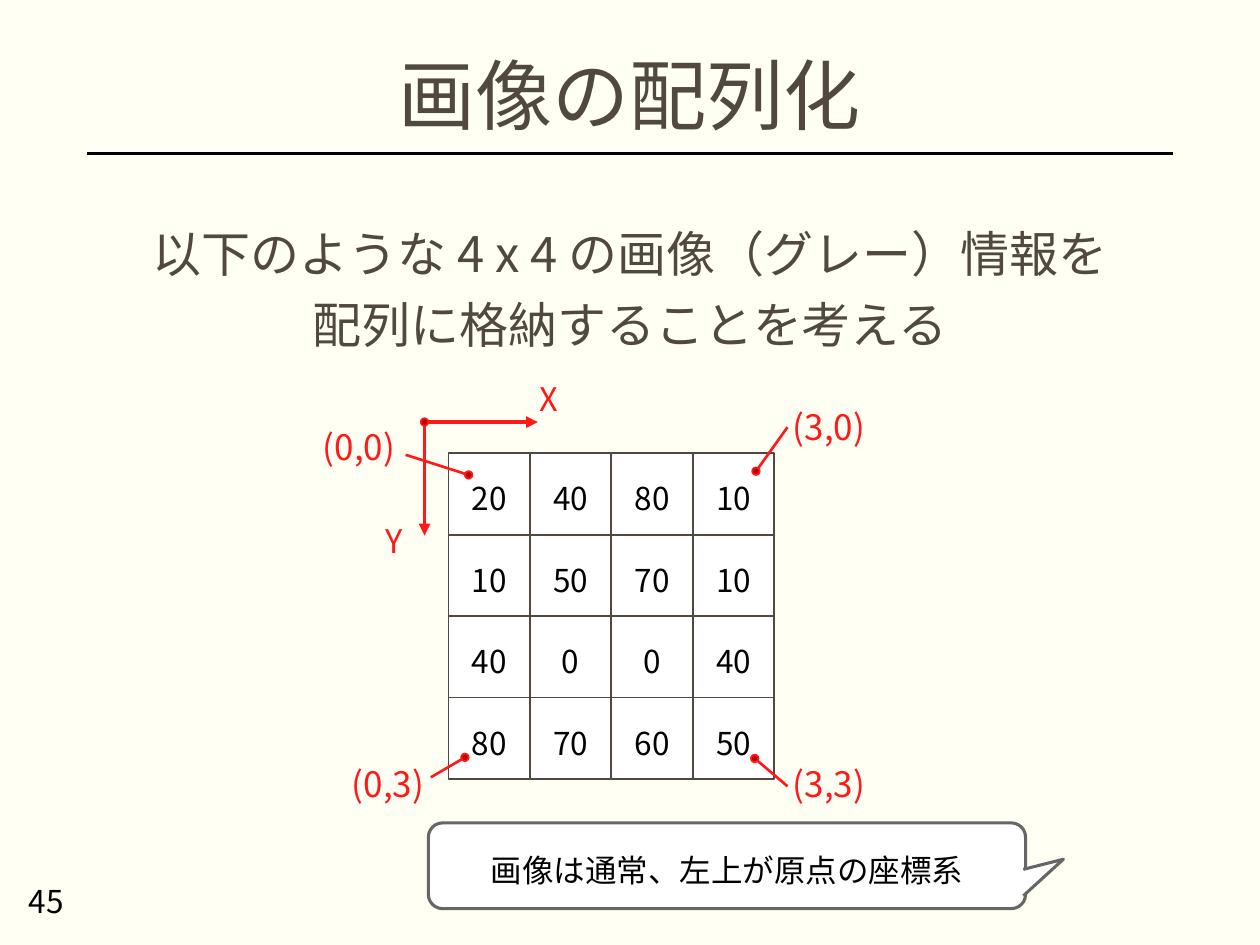
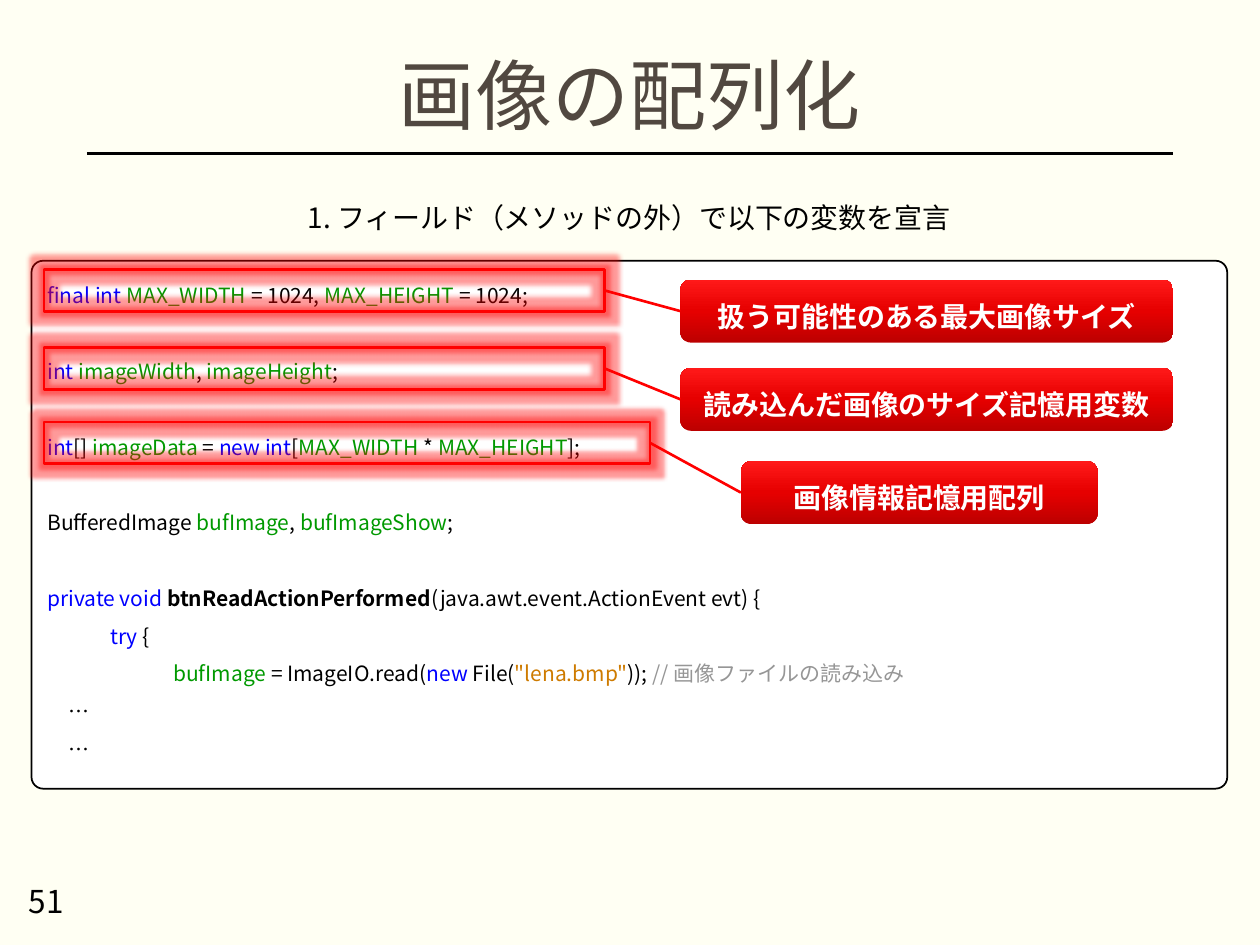
from copy import deepcopy
from dataclasses import dataclass

from lxml.etree import SubElement
from pptx import Presentation
from pptx.dml.color import RGBColor
from pptx.enum.shapes import MSO_CONNECTOR, MSO_SHAPE
from pptx.enum.text import MSO_ANCHOR, PP_ALIGN
from pptx.oxml.ns import qn
from pptx.util import Pt


@dataclass(frozen=True)
class Theme:
    font: str = "Noto Sans CJK JP"
    paper: str = "FFFFF3"
    white: str = "FFFFFF"
    black: str = "000000"
    brown: str = "514840"
    gray: str = "666666"
    red: str = "FF1919"
    dark_red: str = "BC0000"
    mid_red: str = "E60000"
    pure_red: str = "FF0000"
    keyword: str = "0000FF"
    name: str = "009900"
    string: str = "CE7B00"
    comment: str = "969696"
    title_size: float = 44
    lead_size: float = 28
    coord_size: float = 20
    axis_size: float = 18.6
    text_size: float = 18
    note_size: float = 16
    code_size: float = 12


T = Theme()
K, N, S, C = T.keyword, T.name, T.string, T.comment

TITLE = "画像の配列化"
LEAD = ["以下のような 4 x 4 の画像（グレー）情報を", "配列に格納することを考える"]
PIXELS = [[20, 40, 80, 10], [10, 50, 70, 10], [40, 0, 0, 40], [80, 70, 60, 50]]
CALLOUT = "画像は通常、左上が原点の座標系"
# axis name, label box left and top, direction
AXES = [("X", (301, 218.9), (1, 0)), ("Y", (213.1, 300.2), (0, 1))]
# label, label box left and top, marker centre, far end of the leader
CORNERS = [
    ("(0,0)", (167, 242.6), (267.8, 271.4), (231.8, 259.9)),
    ("(3,0)", (435.6, 231.1), (432, 269.3), (450, 244.1)),
    ("(0,3)", (183.6, 434.9), (265.7, 432.8), (246.2, 444.2)),
    ("(3,3)", (435.6, 434.9), (431.3, 433.4), (450, 449.3)),
]

STEP = "1. フィールド（メソッドの外）で以下の変数を宣言"
# indent level, empty line above, coloured runs
CODE = [
    (0, False, [("final int ", K), ("MAX_WIDTH ", N), "= 1024, ", ("MAX_HEIGHT ", N), "= 1024;"]),
    (0, True, [("int ", K), ("imageWidth", N), ", ", ("imageHeight", N), ";"]),
    (0, True, [("int", K), "[] ", ("imageData", N), " = ", ("new int", K), "[",
               ("MAX_WIDTH ", N), "* ", ("MAX_HEIGHT", N), "];"]),
    (0, True, ["BufferedImage ", ("bufImage", N), ", ", ("bufImageShow", N), ";"]),
    (0, True, [("private void ", K), ("btnReadActionPerformed", T.black, True),
               "(java.awt.event.ActionEvent evt) {"]),
    (1, False, [("try", K), " {"]),
    (2, False, [("bufImage", N), " = ImageIO.read(", ("new", K), " File(",
                ('"lena.bmp"', S), ")); ", ("// 画像ファイルの読み込み", C)]),
    (0, False, ["　…"]),
    (0, False, ["　…"]),
]
CODE_LINE = 21.6
# text, tag box left, top, width; highlight top, width
NOTES = [
    ("扱う可能性のある最大画像サイズ", 388.8, 159.8, 281.5, 154.1, 320.4),
    ("読み込んだ画像のサイズ記憶用変数", 388.8, 210.2, 281.5, 198.7, 320.4),
    ("画像情報記憶用配列", 423.4, 263.5, 203.8, 241.2, 346.3),
]


def rgb(color):
    return RGBColor.from_string(color)


def write(tf, paragraphs, size=T.text_size, color=T.black, bold=False, align=PP_ALIGN.CENTER,
          anchor=MSO_ANCHOR.TOP, spacing=None, gap=0, insets=None, wrap=True):
    """Fill a frame; a paragraph is a string or a list of strings and (text, colour, bold) runs."""
    tf.word_wrap, tf.vertical_anchor = wrap, anchor
    if insets:
        tf.margin_left, tf.margin_top, tf.margin_right, tf.margin_bottom = map(Pt, insets)
    for i, runs in enumerate(paragraphs):
        p = tf.add_paragraph() if i else tf.paragraphs[0]
        p.alignment = align
        if spacing:
            p.line_spacing = spacing
        if i and gap:
            p.space_before = Pt(gap)
        for run in [runs] if isinstance(runs, str) else runs:
            text, run_color, run_bold = ((run, color, bold) if isinstance(run, str)
                                         else (*run, bold)[:3])
            r = p.add_run()
            r.text = text
            r.font.size, r.font.bold, r.font.name = Pt(size), run_bold, T.font
            r.font.color.rgb = rgb(run_color)
            SubElement(r.font._element, qn("a:ea")).set("typeface", T.font)


def text_box(s, box, paragraphs, **fmt):
    write(s.shapes.add_textbox(*map(Pt, box)).text_frame, paragraphs, **fmt)


def paint(sp, fill=None, line=None, width=1):
    sp.shadow.inherit = False
    if fill:
        sp.fill.solid()
        sp.fill.fore_color.rgb = rgb(fill)
    else:
        sp.fill.background()
    if line:
        sp.line.color.rgb = rgb(line)
        sp.line.width = Pt(width)
    else:
        sp.line.fill.background()
    return sp


def shape(s, kind, box, **look):
    return paint(s.shapes.add_shape(kind, *map(Pt, box)), **look)


def line(s, start, end, color, width, arrow=False):
    c = s.shapes.add_connector(MSO_CONNECTOR.STRAIGHT, *map(Pt, (*start, *end)))
    c.line.color.rgb = rgb(color)
    c.line.width = Pt(width)
    if arrow:
        SubElement(c.line._get_or_add_ln(), qn("a:tailEnd")).set("type", "triangle")
    SubElement(c._element.spPr, qn("a:effectLst"))


def marker(s, center, size=4.3):
    x, y = center
    shape(s, MSO_SHAPE.OVAL, (x - size / 2, y - size / 2, size, size),
          fill=T.dark_red, line=T.red)


def add_slide(prs, number):
    s = prs.slides.add_slide(prs.slide_layouts[5])
    title = s.shapes.title
    title.left, title.top, title.width, title.height = map(Pt, (49.7, 25.9, 620.6, 61.9))
    write(title.text_frame, [TITLE], size=T.title_size, color=T.brown,
          anchor=MSO_ANCHOR.MIDDLE, spacing=0.9)
    line(s, (49.7, 87.8), (670.3, 87.8), T.black, 2)
    text_box(s, (9.4, 500.4, 162, 28.8), [str(number)], align=PP_ALIGN.LEFT)
    return s


def pixel_slide(prs):
    s = add_slide(prs, 45)
    text_box(s, (49.7, 128.2, 620.6, 74.9), LEAD, size=T.lead_size, color=T.brown,
             spacing=0.9, gap=10)

    left, top, cell = 256.3, 259, 46.55
    centered = dict(anchor=MSO_ANCHOR.MIDDLE, insets=(7.2, 8.6, 7.2, 3.6))
    for row, values in enumerate(PIXELS):
        for col, value in enumerate(values):
            sp = shape(s, MSO_SHAPE.RECTANGLE,
                       (left + col * cell, top + row * cell, cell, cell),
                       fill=T.white, line=T.brown)
            write(sp.text_frame, [str(value)], **centered)

    balloon = shape(s, MSO_SHAPE.ROUNDED_RECTANGLE, (244.8, 470.2, 341.3, 49),
                    fill=T.white, line=T.gray, width=1.75)
    write(balloon.text_frame, [CALLOUT], wrap=False, **centered)
    tail = s.shapes.build_freeform(Pt(584.8), Pt(496.8))
    tail.add_line_segments([(Pt(607.7), Pt(491)), (Pt(584.8), Pt(511.9))], close=False)
    paint(tail.convert_to_shape(), fill=T.white, line=T.gray, width=1.75)

    x, y = origin = (242.6, 241.2)
    reach = 64.8
    for name, place, (dx, dy) in AXES:
        line(s, origin, (x + dx * reach, y + dy * reach), T.red, 2.25, arrow=True)
        text_box(s, (*place, 24.5, 25.2), [name], size=T.axis_size, color=T.red, spacing=0.7)
    marker(s, origin)
    for label, place, center, end in CORNERS:
        text_box(s, (*place, 76.3, 30.2), [label], size=T.coord_size, color=T.red, spacing=0.9)
        line(s, center, end, T.red, 1.5)
        marker(s, center)


def add_glow(sp):
    effects = sp._element.spPr.find(qn("a:effectLst"))
    glow = SubElement(effects, qn("a:glow"), rad=str(Pt(5)))
    color = SubElement(glow, qn("a:srgbClr"), val=T.pure_red)
    SubElement(color, qn("a:alpha"), val="40000")


def red_gradient(sp):
    sp.fill.gradient()
    sp.fill.gradient_angle = 90
    stops = sp._element.spPr.find(".//" + qn("a:gsLst"))
    stops.insert(1, deepcopy(stops[0]))
    for stop, position, color in zip(sp.fill.gradient_stops, (0, 0.5, 1),
                                     (T.dark_red, T.mid_red, T.red)):
        stop.position = position
        stop.color.rgb = rgb(color)


def code_slide(prs):
    s = add_slide(prs, 51)
    panel = shape(s, MSO_SHAPE.ROUNDED_RECTANGLE, (18, 149, 683.3, 301.7),
                  fill=T.white, line=T.black)
    panel.adjustments[0] = 0.022
    write(panel.text_frame, [runs for _, _, runs in CODE], size=T.code_size,
          align=PP_ALIGN.LEFT, spacing=1.5)
    for p, (level, empty_above, _) in zip(panel.text_frame.paragraphs, CODE):
        p.level = level
        if empty_above:
            p.space_before = Pt(CODE_LINE)

    text_box(s, (43.2, 110.9, 632.9, 26.6), [STEP], size=T.note_size)

    frame_left, frame_height, tag_height = 25.2, 23.8, 36
    for text, left, top, width, frame_top, frame_width in NOTES:
        frame = shape(s, MSO_SHAPE.RECTANGLE,
                      (frame_left, frame_top, frame_width, frame_height),
                      line=T.pure_red, width=1.5)
        add_glow(frame)
        tag = shape(s, MSO_SHAPE.ROUNDED_RECTANGLE, (left, top, width, tag_height))
        red_gradient(tag)
        write(tag.text_frame, [text], size=T.note_size, color=T.white, bold=True,
              anchor=MSO_ANCHOR.MIDDLE, insets=(0, 5.8, 0, 0))
        line(s, (left, top + tag_height / 2),
             (frame_left + frame_width, frame_top + frame_height / 2), T.pure_red, 1.5)


def main():
    prs = Presentation()
    prs.slide_width, prs.slide_height = Pt(720), Pt(540)
    background = prs.slide_master.background.fill
    background.solid()
    background.fore_color.rgb = rgb(T.paper)
    pixel_slide(prs)
    code_slide(prs)
    prs.save("out.pptx")


if __name__ == "__main__":
    main()
